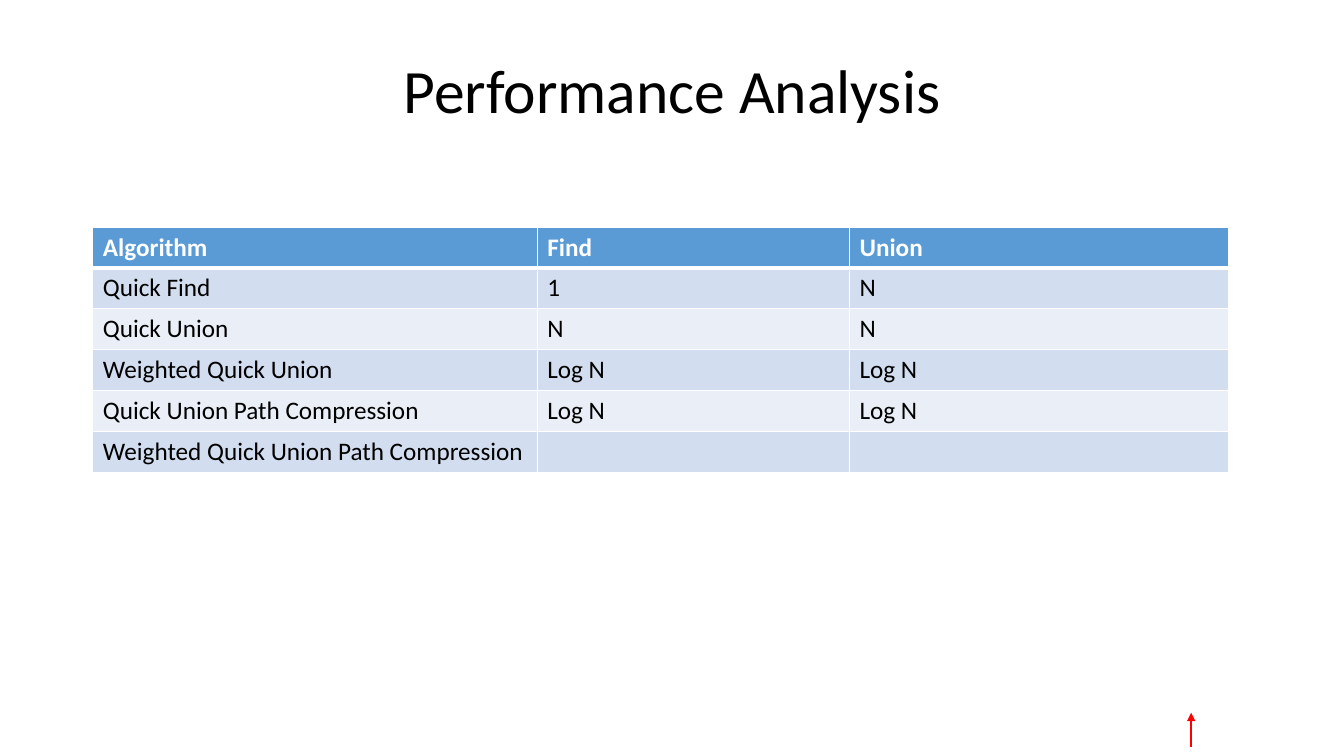
from lxml import etree
from pptx import Presentation
from pptx.dml.color import RGBColor
from pptx.enum.shapes import MSO_CONNECTOR
from pptx.enum.text import MSO_ANCHOR, PP_ALIGN
from pptx.oxml.ns import qn
from pptx.util import Cm, Pt

STRAIGHT = MSO_CONNECTOR.STRAIGHT
MIDDLE = MSO_ANCHOR.MIDDLE
CENTER = PP_ALIGN.CENTER

# Content
TITLE = "Performance Analysis"
ROWS = [
    ("Algorithm", "Find", "Union"),
    ("Quick Find", "1", "N"),
    ("Quick Union", "N", "N"),
    ("Weighted Quick Union", "Log N", "Log N"),
    ("Quick Union Path Compression", "Log N", "Log N"),
    ("Weighted Quick Union Path Compression", "", ""),
]

# Style
FONT = "Calibri"
BLACK = RGBColor(0x00, 0x00, 0x00)
WHITE = RGBColor(0xFF, 0xFF, 0xFF)
RED = RGBColor(0xFF, 0x00, 0x00)
HEADER_BLUE = RGBColor(0x5B, 0x9B, 0xD5)
BANDS = (RGBColor(0xEA, 0xEF, 0xF7), RGBColor(0xD2, 0xDE, 0xEF))

# Layout in centimetres
LEFT = 2.34
TITLE_WIDTH, TITLE_HEIGHT = 29.21, 4.7
TABLE_TOP = 5.72
COLUMN_WIDTHS = (11.2, 7.87, 9.55)
ROW_HEIGHT = 1.03
ARROW_X, ARROW_BOTTOM, ARROW_TOP = 30.02, 18.82, 17.96


def add_text(para, text, size, color, bold=False):
    span = para.add_run()
    span.text = text
    span.font.name = FONT
    span.font.size = Pt(size)
    span.font.bold = bold
    span.font.color.rgb = color


def set_borders(cell, top, bottom):
    properties = cell._tc.get_or_add_tcPr()
    sides = (("a:lnL", 1), ("a:lnR", 1), ("a:lnT", top), ("a:lnB", bottom))
    for position, (side, points) in enumerate(sides):
        line = etree.Element(qn(side), w=str(Pt(points)))
        fill = etree.SubElement(line, qn("a:solidFill"))
        etree.SubElement(fill, qn("a:srgbClr"), val=str(WHITE))
        properties.insert(position, line)


deck = Presentation()
deck.slide_width, deck.slide_height = Cm(33.87), Cm(19.05)
page = deck.slides.add_slide(deck.slide_layouts[6])

# Title
box = page.shapes.add_textbox(Cm(LEFT), Cm(0), Cm(TITLE_WIDTH), Cm(TITLE_HEIGHT))
frame = box.text_frame
frame.word_wrap = True
frame.vertical_anchor = MIDDLE
heading = frame.paragraphs[0]
heading.alignment = CENTER
heading.line_spacing = 0.9
add_text(heading, TITLE, 44, BLACK)

# Red arrow pointing up
arrow = page.shapes.add_connector(
    STRAIGHT, Cm(ARROW_X), Cm(ARROW_BOTTOM), Cm(ARROW_X), Cm(ARROW_TOP))
arrow.line.color.rgb = RED
arrow.line.width = Pt(1.5)
etree.SubElement(arrow.line._get_or_add_ln(), qn("a:tailEnd"), type="triangle")
etree.SubElement(arrow._element.spPr, qn("a:effectLst"))

# Running times table
table = page.shapes.add_table(
    len(ROWS), len(COLUMN_WIDTHS), Cm(LEFT), Cm(TABLE_TOP),
    Cm(sum(COLUMN_WIDTHS)), Cm(ROW_HEIGHT * len(ROWS))).table
for column, width in zip(table.columns, COLUMN_WIDTHS):
    column.width = Cm(width)
for r, texts in enumerate(ROWS):
    table.rows[r].height = Cm(ROW_HEIGHT)
    header = r == 0
    for c, text in enumerate(texts):
        cell = table.cell(r, c)
        cell.fill.solid()
        cell.fill.fore_color.rgb = HEADER_BLUE if header else BANDS[r % 2]
        set_borders(cell, top=3 if r == 1 else 1, bottom=3 if header else 1)
        if text:
            add_text(cell.text_frame.paragraphs[0], text, 18,
                     WHITE if header else BLACK, bold=header)

deck.save("out.pptx")
